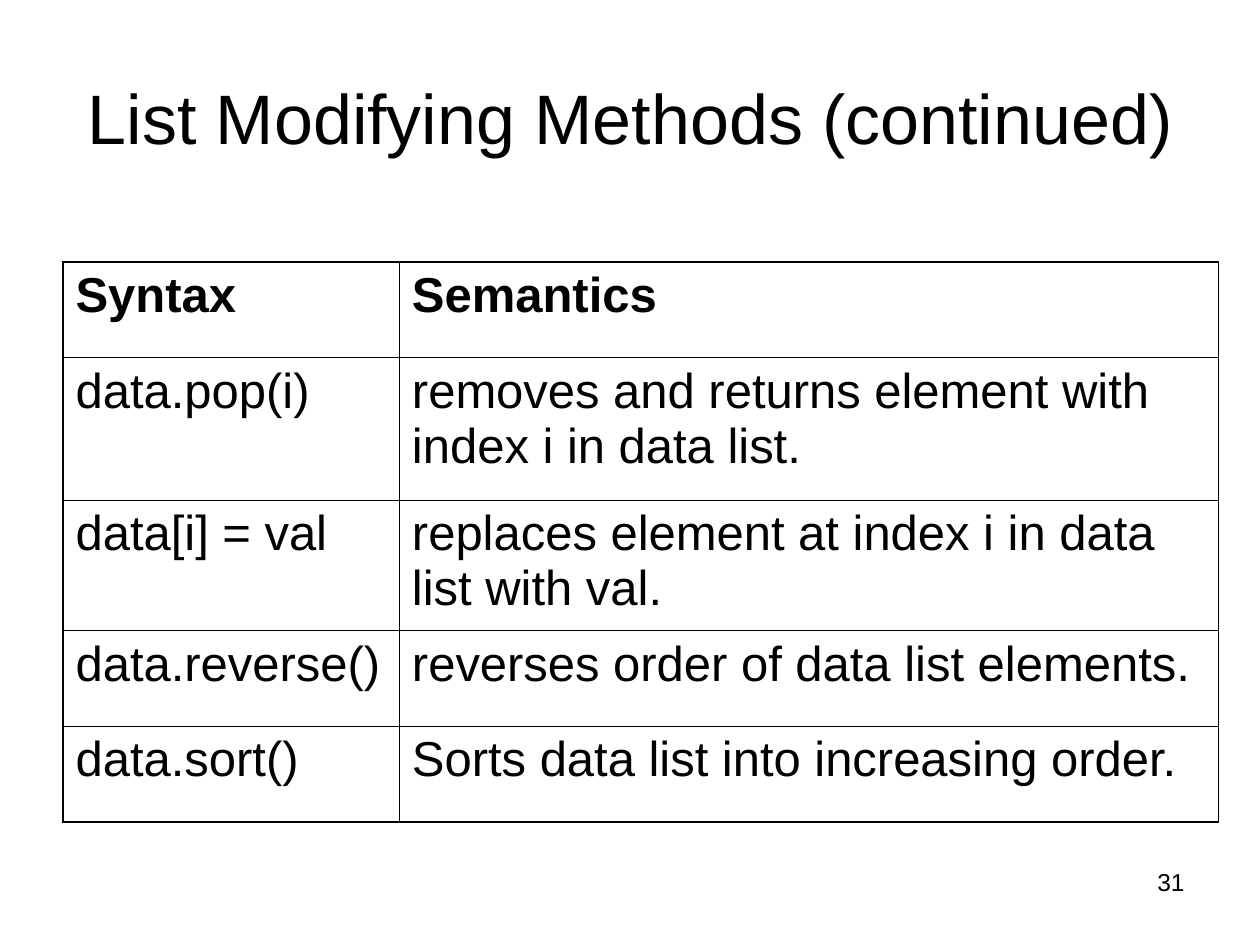
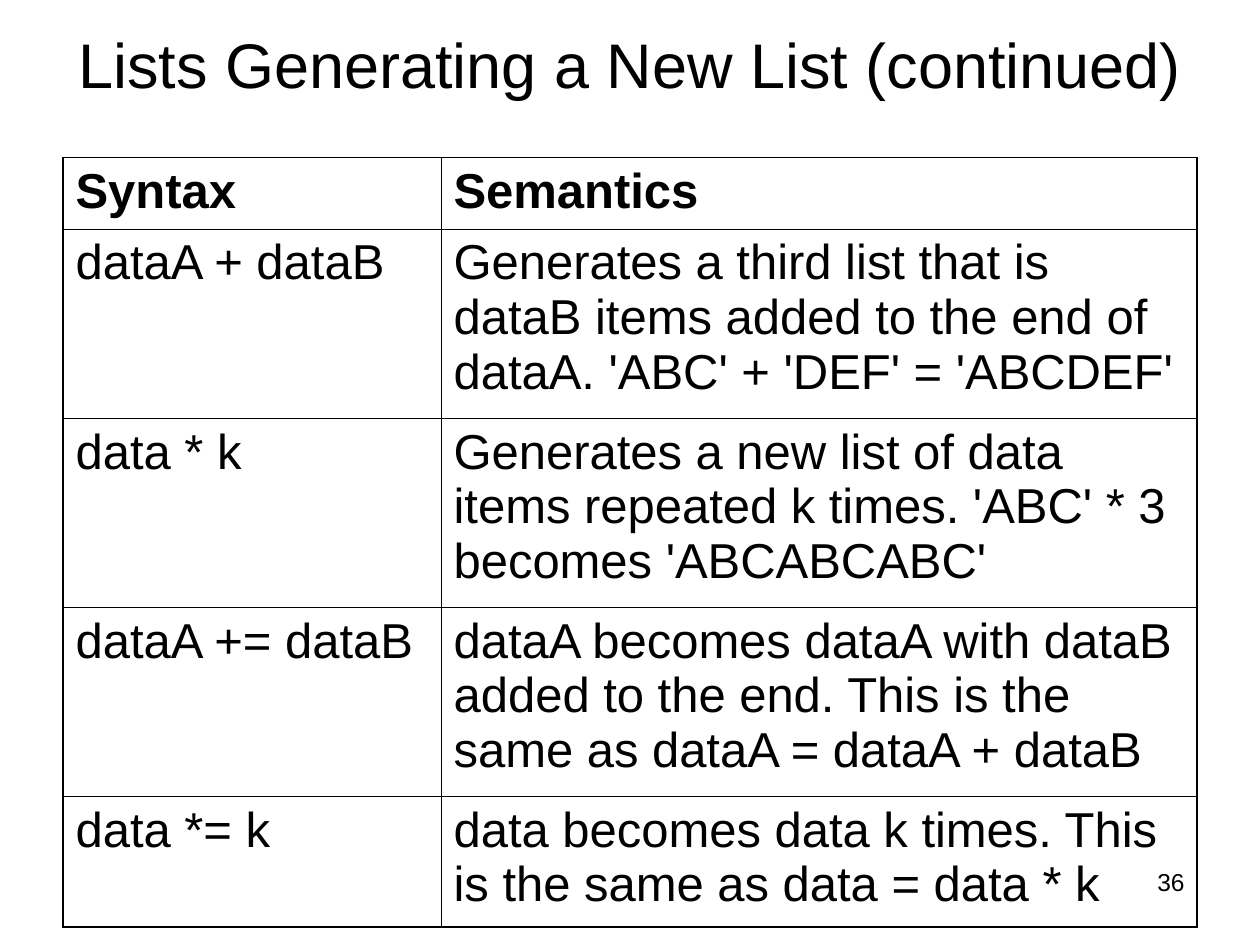
from lxml.etree import SubElement
from pptx import Presentation
from pptx.dml.color import RGBColor
from pptx.enum.text import MSO_ANCHOR, PP_ALIGN
from pptx.oxml.ns import qn
from pptx.util import Inches, Pt

FONT = "Arial"
BLACK = "000000"
OUTER, INNER = 1.08, 0.45
MARGIN = 0.5

TABLES = [
    {
        "number": "31", "title": "List Modifying Methods (continued)",
        "title_top": 0.3, "title_height": 1.25, "title_size": 40,
        "top": 2.08, "columns": [2.67, 6.5], "heights": [0.76, 1.13, 1.03, 0.76, 0.76],
        "rows": [
            ("data.pop(i)", "removes and returns element with index i in data list."),
            ("data[i] = val", "replaces element at index i in data list with val."),
            ("data.reverse()", "reverses order of data list elements."),
            ("data.sort()", "Sorts data list into increasing order."),
        ],
    },
    {
        "number": "36", "title": "Lists Generating a New List (continued)",
        "title_top": 0, "title_height": 1, "title_size": 36,
        "top": 1.25, "columns": [3, 6], "heights": [0.57, 1.5, 1.5, 1.5, 1.03],
        "rows": [
            ("dataA + dataB", "Generates a third list that is dataB items added to the end of "
                              "dataA. 'ABC' + 'DEF' = 'ABCDEF'"),
            ("data * k", "Generates a new list of data items repeated k times. "
                         "'ABC' * 3 becomes 'ABCABCABC'"),
            ("dataA += dataB", "dataA becomes dataA with dataB added to the end. "
                               "This is the same as dataA = dataA + dataB"),
            ("data *= k", "data becomes data k times. This is the same as data = data * k"),
        ],
    },
]


def write(frame, text, size, align=PP_ALIGN.LEFT, bold=False):
    """Put one formatted paragraph into a box's or cell's text frame."""
    frame.text = text
    frame.word_wrap = True
    para = frame.paragraphs[0]
    para.alignment = align
    span = para.runs[0]
    span.font.name = FONT
    span.font.size = Pt(size)
    span.font.bold = bold
    span.font.color.rgb = RGBColor.from_string(BLACK)


def set_borders(cell, widths):
    """Draw the left, right, top and bottom borders, widths in points."""
    properties = cell._tc.get_or_add_tcPr()
    for place, (side, width) in enumerate(zip("LRTB", widths)):
        line = SubElement(properties, qn(f"a:ln{side}"), w=str(Pt(width)))
        fill = SubElement(line, qn("a:solidFill"))
        SubElement(fill, qn("a:srgbClr"), val=BLACK)
        properties.insert(place, line)


deck = Presentation()
deck.slide_width, deck.slide_height = Inches(10), Inches(7.5)

for content in TABLES:
    slide = deck.slides.add_slide(deck.slide_layouts[6])

    number_box = slide.shapes.add_textbox(Inches(7.17), Inches(6.83), Inches(2.33), Inches(0.52))
    write(number_box.text_frame, content["number"], 14, PP_ALIGN.RIGHT)

    title_box = slide.shapes.add_textbox(
        Inches(MARGIN), Inches(content["title_top"]),
        deck.slide_width - 2 * Inches(MARGIN), Inches(content["title_height"]))
    title_frame = title_box.text_frame
    write(title_frame, content["title"], content["title_size"], PP_ALIGN.CENTER)
    title_frame.vertical_anchor = MSO_ANCHOR.MIDDLE
    title_frame.margin_left = title_frame.margin_right = 0
    title_frame.margin_top = title_frame.margin_bottom = 0

    rows = [("Syntax", "Semantics")] + content["rows"]
    columns, heights = content["columns"], content["heights"]
    table = slide.shapes.add_table(
        len(rows), len(columns), Inches(MARGIN), Inches(content["top"]),
        Inches(sum(columns)), Inches(sum(heights))).table
    table.first_row = table.horz_banding = False
    for column, width in zip(table.columns, columns):
        column.width = Inches(width)

    last_row, last_column = len(rows) - 1, len(columns) - 1
    for r, texts in enumerate(rows):
        table.rows[r].height = Inches(heights[r])
        for c, text in enumerate(texts):
            cell = table.cell(r, c)
            cell.fill.background()
            write(cell.text_frame, text, 28, bold=r == 0)
            on_edge = (c == 0, c == last_column, r == 0, r == last_row)
            set_borders(cell, [OUTER if edge else INNER for edge in on_edge])

deck.save("out.pptx")
